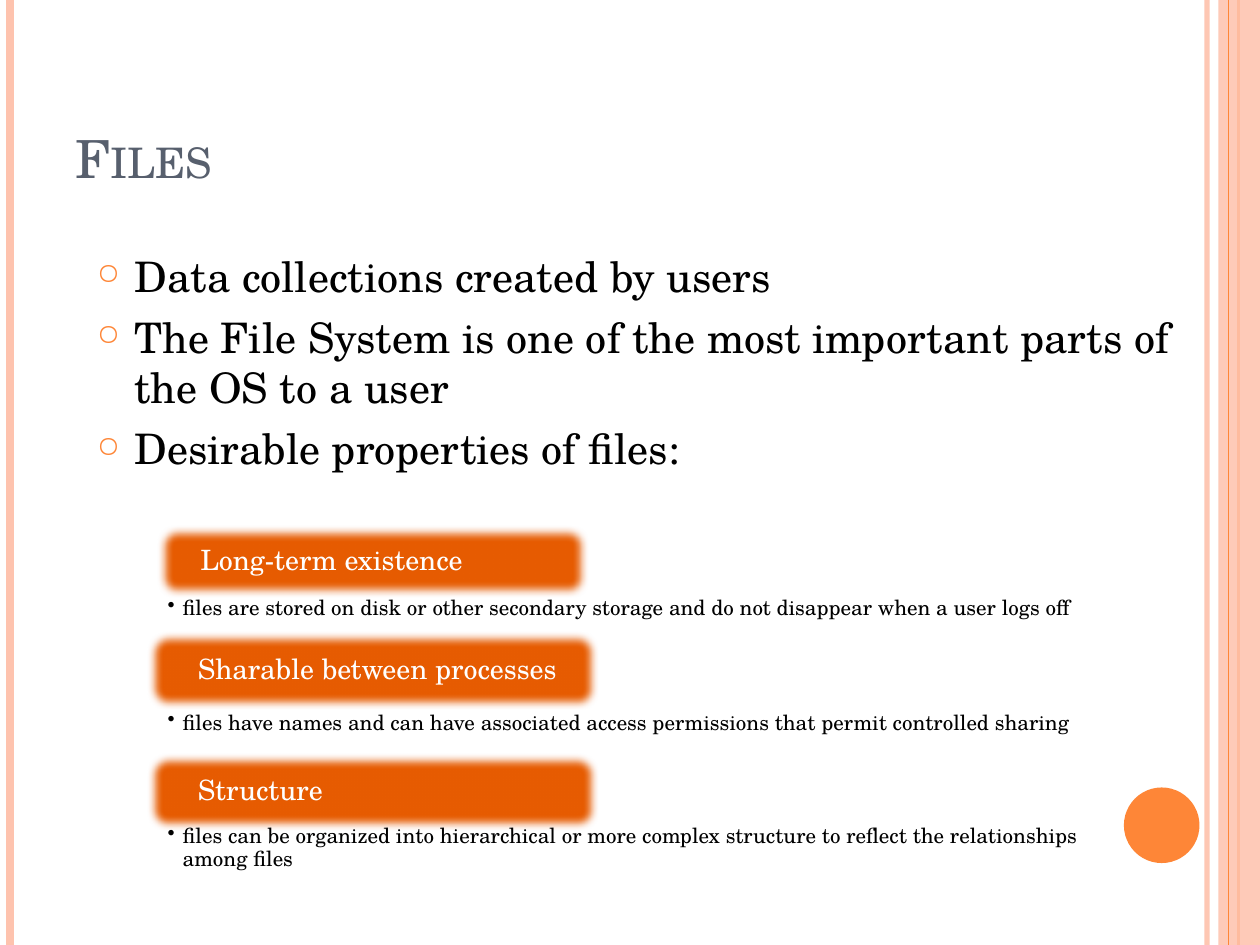
from lxml.etree import SubElement
from pptx import Presentation
from pptx.dml.color import RGBColor
from pptx.enum.shapes import MSO_CONNECTOR, MSO_SHAPE
from pptx.enum.text import MSO_ANCHOR
from pptx.oxml.ns import qn
from pptx.util import Inches, Pt

WIDTH, HEIGHT = 10, 7.5

THEME = {
    "font": "TeX Gyre Schola",
    "title": "575F6D", "text": "000000", "label": "FFFFFF",
    "accent": "FE8637", "pale": "FEC3AE", "button": "E75C01",
    "title_size": 30, "body_size": 24, "label_size": 16, "detail_size": 12,
}

TITLE = "Files"
POINTS = [
    "Data collections created by users",
    "The File System is one of the most important parts of the OS to a user",
    "Desirable properties of files:",
]
# label, detail, button (left, top, width, height), label indent, detail (top, height)
PROPERTIES = [
    ("Long-term existence",
     "files are stored on disk or other secondary storage and do not disappear when a user logs off",
     (1.25, 4.17, 3.42, 0.57), 0.24, (4.72, 0.29)),
    ("Sharable between processes",
     "files have names and can have associated access permissions that permit controlled sharing",
     (1.17, 5.01, 3.58, 0.62), 0.3, (5.63, 0.29)),
    ("Structure",
     "files can be organized into hierarchical or more complex structure to reflect the relationships among files",
     (1.17, 5.98, 3.58, 0.61), 0.3, (6.53, 0.41)),
]
# x, colour, width in points, opacity in percent
STRIPES_BEHIND = [(9.58, "pale", 3, 93), (0.08, "pale", 4.5, 100), (9.83, "accent", 1.5, 100)]
STRIPES_FRONT = [(9.75, "accent", 0.75, 100)]
DETAIL_LEFT, DETAIL_WIDTH = 1.08, 7.92
LABEL_MARGIN, LABEL_INSET = 0.07, 0.03


def color(name):
    return RGBColor.from_string(THEME[name])


def set_opacity(element, percent):
    if percent < 100:
        for tone in element.iter(qn("a:srgbClr")):
            SubElement(tone, qn("a:alpha"), val=str(percent * 1000))


def add_stripe(page, x, tone, width, opacity):
    stripe = page.shapes.add_connector(
        MSO_CONNECTOR.STRAIGHT, Inches(x), 0, Inches(x), Inches(HEIGHT))
    stripe.line.color.rgb = color(tone)
    stripe.line.width = Pt(width)
    properties = stripe.element.spPr
    set_opacity(properties, opacity)
    SubElement(properties, qn("a:effectLst"))


def add_block(page, kind, frame, tone, opacity=100):
    block = page.shapes.add_shape(kind, *map(Inches, frame))
    block.shadow.inherit = False
    block.fill.solid()
    block.fill.fore_color.rgb = color(tone)
    block.line.fill.background()
    set_opacity(block.element.spPr, opacity)
    return block


def soften_edges(block, points):
    effects = block.element.spPr.find(qn("a:effectLst"))
    SubElement(effects, qn("a:softEdge"), rad=str(Pt(points)))


def add_text(page, frame, lines, size, tone, margins=(0.1, 0.05, 0.1, 0.05),
             anchor=MSO_ANCHOR.TOP):
    """Add a text box with one paragraph per line; margins are left, top, right, bottom."""
    box = page.shapes.add_textbox(*map(Inches, frame))
    text = box.text_frame
    text.text = "\n".join(lines)
    text.word_wrap = True
    text.vertical_anchor = anchor
    (text.margin_left, text.margin_top,
     text.margin_right, text.margin_bottom) = map(Inches, margins)
    for para in text.paragraphs:
        for span in para.runs:
            span.font.name = THEME["font"]
            span.font.size = Pt(THEME[size])
            span.font.color.rgb = color(tone)
    return text


def add_bullet(para, symbol, indent, tone, percent=100):
    settings = para._p.get_or_add_pPr()
    settings.set("marL", str(Inches(indent)))
    settings.set("indent", str(-Inches(indent)))
    SubElement(SubElement(settings, qn("a:buClr")), qn("a:srgbClr"), val=THEME[tone])
    SubElement(settings, qn("a:buSzPct"), val=str(percent * 1000))
    SubElement(settings, qn("a:buChar"), char=symbol)


def add_property(page, label, detail, button, indent, detail_rows):
    block = add_block(page, MSO_SHAPE.ROUNDED_RECTANGLE, button, "button")
    soften_edges(block, 5)

    left, top, width, height = button
    inner = (left + LABEL_INSET, top + LABEL_INSET,
             width - 2 * LABEL_INSET, height - 2 * LABEL_INSET)
    margins = (LABEL_MARGIN + indent, LABEL_MARGIN, LABEL_MARGIN, LABEL_MARGIN)
    name = add_text(page, inner, [label], "label_size", "label", margins, MSO_ANCHOR.MIDDLE)
    name.paragraphs[0].line_spacing = 0.9

    detail_top, detail_height = detail_rows
    text = add_text(page, (DETAIL_LEFT, detail_top, DETAIL_WIDTH, detail_height),
                    [detail], "detail_size", "text", (0.25, 0.02, 0.12, 0.02))
    para = text.paragraphs[0]
    para.line_spacing = 0.9
    add_bullet(para, "•", 0.12, "text")


def main():
    deck = Presentation()
    deck.slide_width, deck.slide_height = Inches(WIDTH), Inches(HEIGHT)
    page = deck.slides.add_slide(deck.slide_layouts[6])

    for stripe in STRIPES_BEHIND:
        add_stripe(page, *stripe)
    add_block(page, MSO_SHAPE.RECTANGLE, (9.67, 0, 0.33, HEIGHT), "pale", 87)
    for stripe in STRIPES_FRONT:
        add_stripe(page, *stripe)
    add_block(page, MSO_SHAPE.OVAL, (8.92, 6.25, 0.6, 0.6), "accent")

    title = add_text(page, (0.5, 0.3, 8.17, 1.25), [TITLE], "title_size", "title",
                     anchor=MSO_ANCHOR.BOTTOM)
    title.paragraphs[0].runs[0].font._element.set("cap", "small")

    body = add_text(page, (0.67, 1.94, 8.83, 4.58), POINTS, "body_size", "text")
    for para in body.paragraphs:
        para.space_before = Pt(6)
        add_bullet(para, "○", 0.3, "accent", 70)

    for item in PROPERTIES:
        add_property(page, *item)

    deck.save("out.pptx")


if __name__ == "__main__":
    main()
